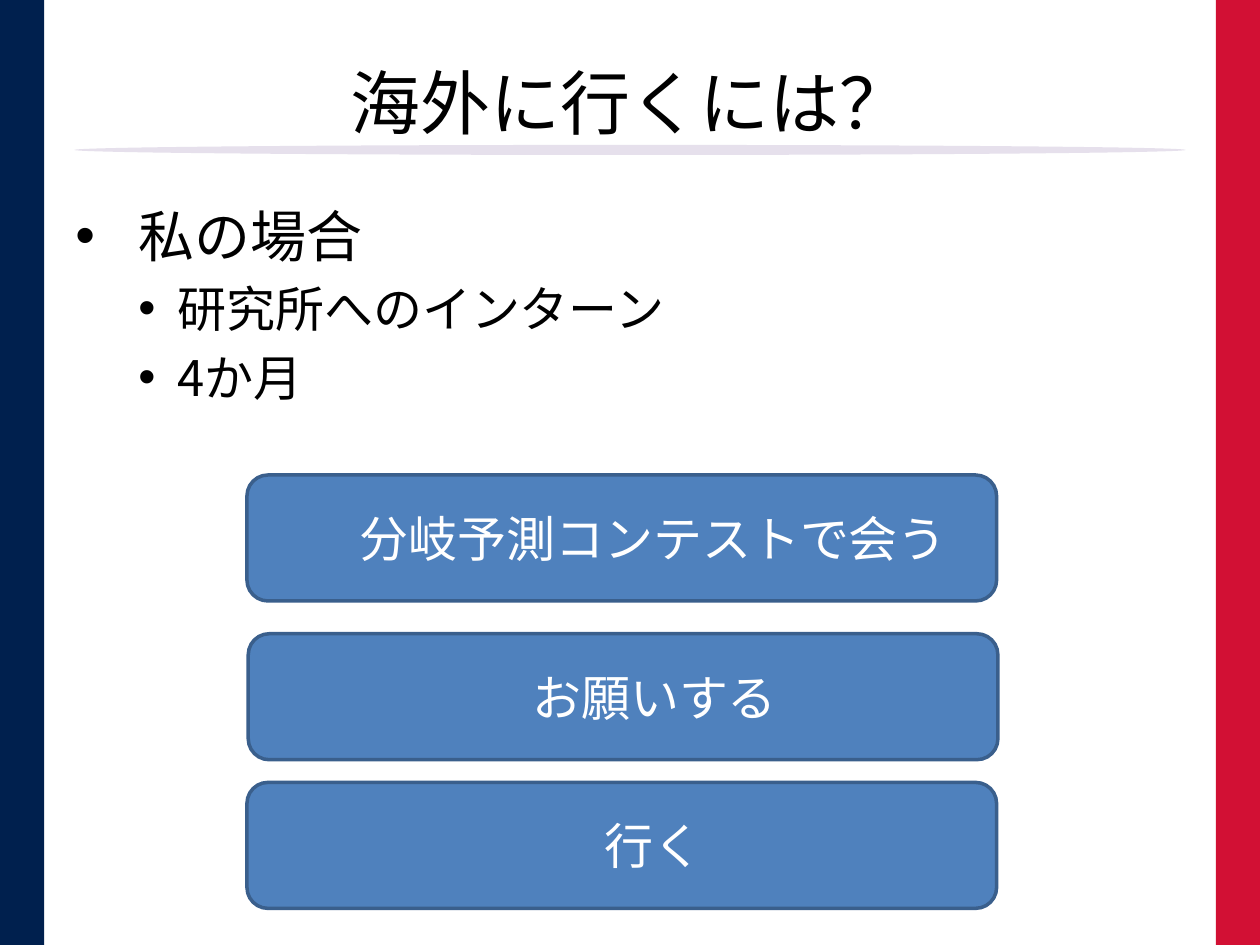
from lxml.etree import SubElement as Sub
from pptx import Presentation
from pptx.dml.color import RGBColor as RGB
from pptx.enum.shapes import MSO_SHAPE as Form
from pptx.enum.text import MSO_ANCHOR as Anchor, MSO_AUTO_SIZE as Auto, PP_ALIGN as Align
from pptx.oxml.ns import qn
from pptx.util import Inches, Pt

NAVY = RGB(0x00, 0x20, 0x4E)
RED = RGB(0xD2, 0x10, 0x34)
LILAC = RGB(0xE6, 0xE0, 0xEC)
BLUE = RGB(0x4F, 0x81, 0xBD)
EDGE = RGB(0x3A, 0x5F, 0x8C)
BLACK = RGB(0, 0, 0)
WHITE = RGB(255, 255, 255)
SANS = "Noto Sans CJK JP"
WIDE, HIGH = 10, 7.5
BAND = 0.35

POINTS = [("私の場合", 0, 32), ("研究所へのインターン", 1, 28), ("4か月", 1, 28)]
INDENTS = [(0.5, -0.5), (0.81, -0.31)]
STEPS = [("分岐予測コンテストで会う", 1.96, 3.77), ("お願いする", 1.97, 5.03), ("行く", 1.96, 6.21)]


def span(*sides):
    return [Inches(side) for side in sides]


def add_run(para, text, size, color, face=SANS):
    run = para.add_run()
    run.text = text
    font = run.font
    font.size, font.name = Pt(size), face
    font.color.rgb = color
    Sub(font._element, qn("a:ea")).set("typeface", SANS)


def indent(para, left, first):
    props = para._p.get_or_add_pPr()
    props.set("marL", str(Inches(left)))
    props.set("indent", str(Inches(first)))
    return props


def add_form(slide, form, box, fill):
    shape = slide.shapes.add_shape(form, *span(*box))
    shape.shadow.inherit = False
    shape.fill.solid()
    shape.fill.fore_color.rgb = fill
    shape.line.fill.background()
    return shape


def add_frame(slide):
    for left, color in ((0, NAVY), (WIDE - BAND, RED)):
        add_form(slide, Form.RECTANGLE, (left, -0.08, BAND, HIGH + 0.11), color)
    add_form(slide, Form.OVAL, (0.59, 1.15, 8.82, 0.08), LILAC)


def add_title(slide, text):
    title = slide.shapes.title
    title.left, title.top, title.width, title.height = span(0.5, 0.3, 9, 1.01)
    frame = title.text_frame
    frame.auto_size = Auto.NONE
    frame.vertical_anchor = Anchor.MIDDLE
    para = frame.paragraphs[0]
    para.alignment = Align.CENTER
    add_run(para, text, 40, BLACK)


def add_list(slide, points):
    frame = slide.shapes.add_textbox(*span(0.5, 1.55, 8.91, 1.73)).text_frame
    frame.word_wrap = True
    for index, (text, level, size) in enumerate(points):
        para = frame.add_paragraph() if index else frame.paragraphs[0]
        para.level = level
        para.space_before = Pt(size * 0.2)
        props = indent(para, *INDENTS[level])
        Sub(props, qn("a:buFont")).set("typeface", "Arial")
        Sub(props, qn("a:buChar")).set("char", "•")
        add_run(para, text, size, BLACK)


def add_step(slide, text, left, top):
    shape = add_form(slide, Form.ROUNDED_RECTANGLE, (left, top, 5.95, 1), BLUE)
    shape.line.color.rgb = EDGE
    shape.line.width = Pt(2)
    frame = shape.text_frame
    frame.word_wrap = True
    frame.vertical_anchor = Anchor.MIDDLE
    para = frame.paragraphs[0]
    para.level = 1
    para.alignment = Align.CENTER
    indent(para, 0.5, 0)
    add_run(para, text, 28, WHITE, "Calibri")


def main():
    deck = Presentation()
    deck.slide_width, deck.slide_height = span(WIDE, HIGH)
    slide = deck.slides.add_slide(deck.slide_layouts[5])
    add_frame(slide)
    add_title(slide, "海外に行くには？")
    add_list(slide, POINTS)
    for step in STEPS:
        add_step(slide, *step)
    deck.save("out.pptx")


if __name__ == "__main__":
    main()
